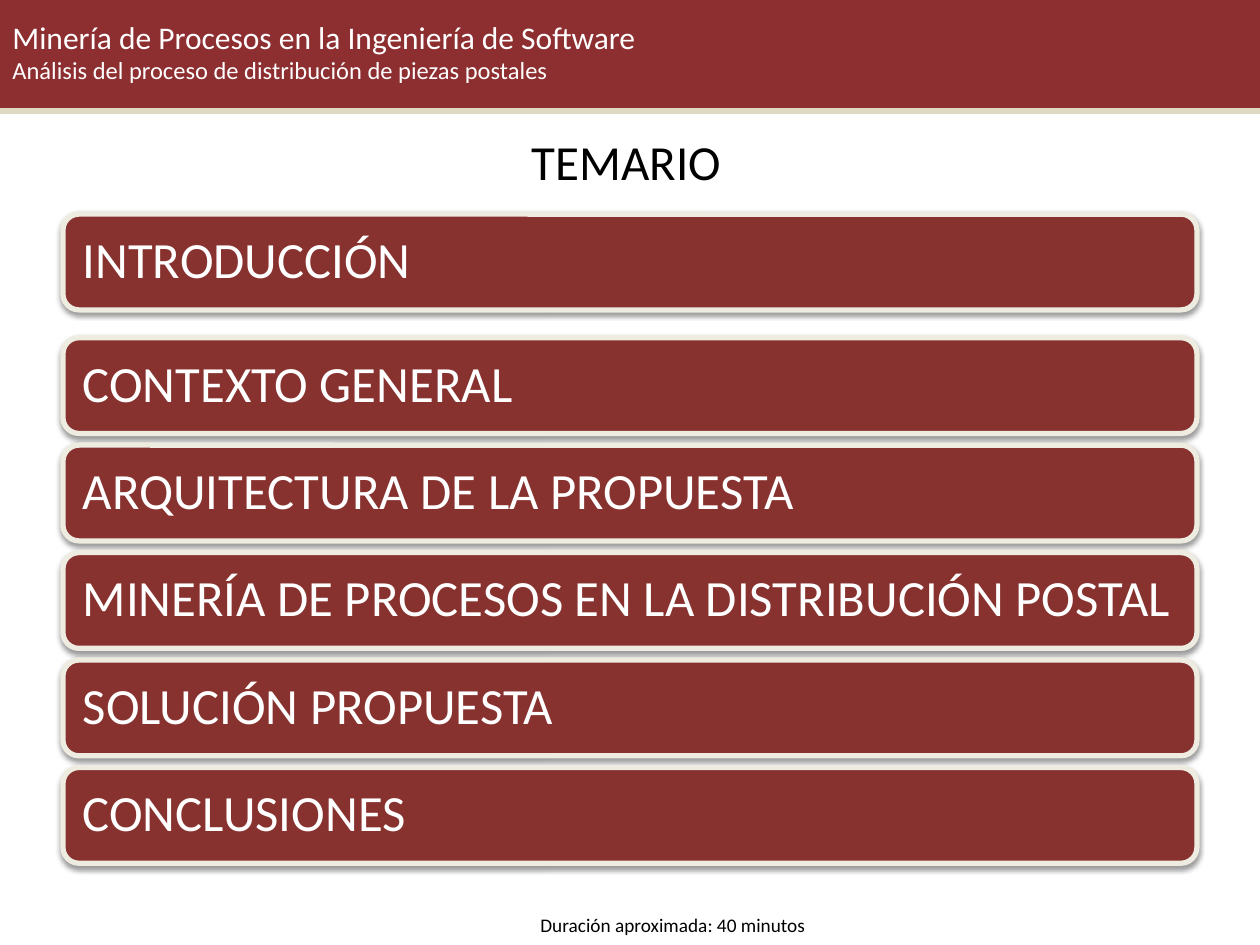
import pptx
import pptx.dml.color
import pptx.enum.shapes
import pptx.enum.text
import pptx.oxml
import pptx.oxml.ns
import pptx.util

Pt = pptx.util.Pt
SHAPE = pptx.enum.shapes.MSO_SHAPE
ALIGN = pptx.enum.text.PP_ALIGN
MIDDLE = pptx.enum.text.MSO_ANCHOR.MIDDLE

COLORS = {
    "header": "8D2E30",
    "stripe": "DDD9C3",
    "topic": "883230",
    "border": "EEECE1",
    "light": "FFFFFF",
    "dark": "000000",
}

SOFT_SHADOW = (
    f'<a:outerShdw {pptx.oxml.ns.nsdecls("a")} blurRad="{Pt(3.1)}" '
    f'dist="{Pt(1.6)}" dir="5400000" rotWithShape="0">'
    f'<a:srgbClr val="{COLORS["dark"]}"><a:alpha val="38000"/></a:srgbClr>'
    "</a:outerShdw>"
)


class AgendaSlide:
    """Holds the style and the slide being drawn."""

    font = "Calibri"

    def __init__(self, slide):
        self.slide = slide

    def color(self, name):
        return pptx.dml.color.RGBColor.from_string(COLORS[name])

    def set_lines(self, frame, lines, color, align=ALIGN.LEFT):
        """Fill a text frame with (text, size) lines."""
        frame.word_wrap = True
        for index, (text, size) in enumerate(lines):
            line = frame.add_paragraph() if index else frame.paragraphs[0]
            line.text = text
            line.alignment = align
            line.font.name = self.font
            line.font.size = Pt(size)
            line.font.color.rgb = self.color(color)

    def block(self, kind, box, fill, border, weight):
        block = self.slide.shapes.add_shape(kind, *map(Pt, box))
        block.shadow.inherit = False
        block.fill.solid()
        block.fill.fore_color.rgb = self.color(fill)
        block.line.color.rgb = self.color(border)
        block.line.width = Pt(weight)
        block.text_frame.vertical_anchor = MIDDLE
        return block

    def topic(self, text, top):
        topic = self.block(SHAPE.ROUNDED_RECTANGLE, (36, top, 648, 54.7),
                           "topic", "border", 3)
        effects = topic.element.spPr.find(pptx.oxml.ns.qn("a:effectLst"))
        effects.append(pptx.oxml.parse_xml(SOFT_SHADOW))
        frame = topic.text_frame
        frame.margin_left = frame.margin_right = Pt(8.64)
        frame.margin_top = frame.margin_bottom = Pt(8.64)
        self.set_lines(frame, [(text, 29)], "light")
        frame.paragraphs[0].line_spacing = 0.9

    def label(self, box, text, size, align=ALIGN.LEFT):
        label = self.slide.shapes.add_textbox(*map(Pt, box))
        self.set_lines(label.text_frame, [(text, size)], "dark", align)


def main():
    deck = pptx.Presentation()
    deck.slide_width, deck.slide_height = Pt(720), Pt(540)
    agenda = AgendaSlide(deck.slides.add_slide(deck.slide_layouts[6]))

    # Topics: the introduction stands apart, the rest follow at equal steps
    agenda.topic("INTRODUCCIÓN", 122.4)
    main_topics = [
        "CONTEXTO GENERAL",
        "ARQUITECTURA DE LA PROPUESTA",
        "MINERÍA DE PROCESOS EN LA DISTRIBUCIÓN POSTAL",
        "SOLUCIÓN PROPUESTA",
        "CONCLUSIONES",
    ]
    for index, text in enumerate(main_topics):
        agenda.topic(text, 193 + 61.4 * index)

    # Header band with its stripe
    agenda.block(SHAPE.RECTANGLE, (0, 60.5, 720, 3.6), "stripe", "stripe", 2)
    header = agenda.block(SHAPE.ROUNDED_RECTANGLE, (0, -2, 720, 62.5),
                          "header", "header", 2)
    header.adjustments[0] = 0
    agenda.set_lines(header.text_frame, [
        ("Minería de Procesos en la Ingeniería de Software", 18),
        ("Análisis del proceso de distribución de piezas postales", 14),
    ], "light")

    # Title and duration
    agenda.label((280.5, 71.5, 155, 41), "TEMARIO", 28, ALIGN.CENTER)
    agenda.label((301.7, 518.4, 177, 20.6),
                 "Duración aproximada: 40 minutos", 11)

    deck.save("out.pptx")


if __name__ == "__main__":
    main()
